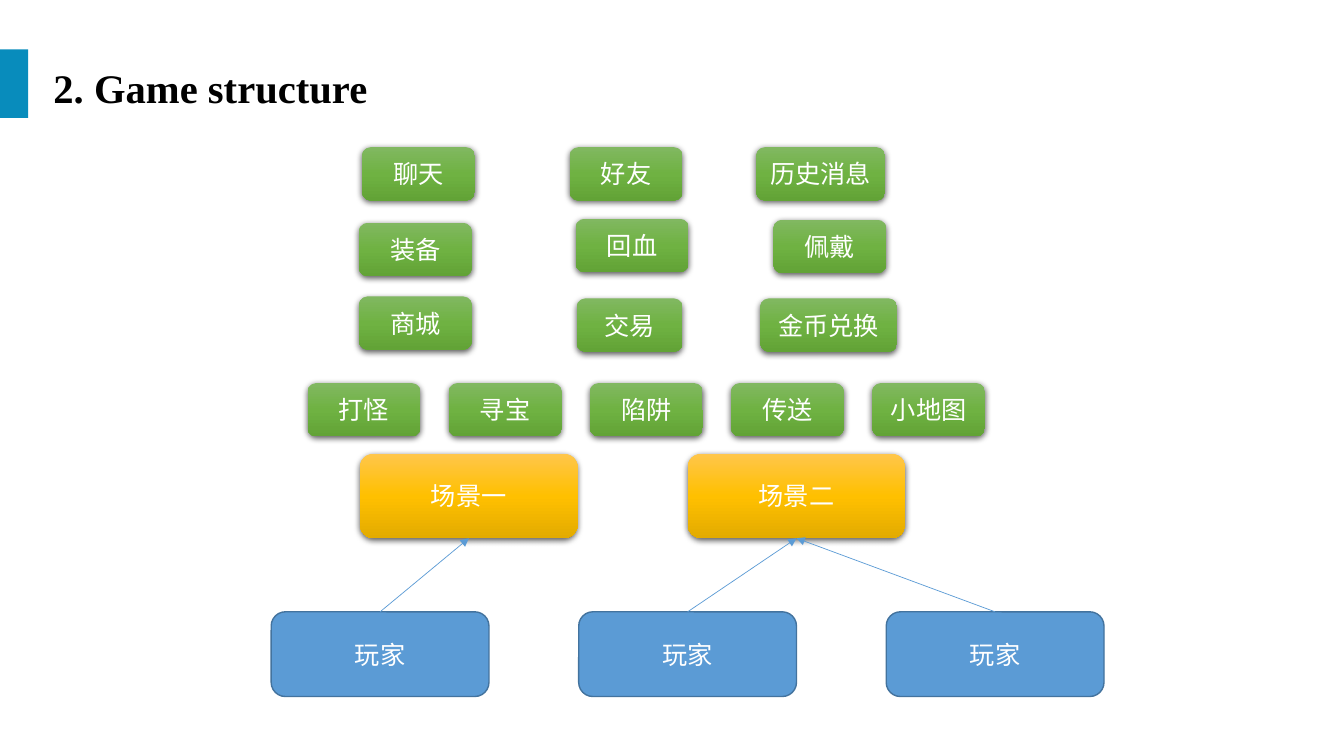
from lxml import etree
from pptx import Presentation
from pptx.dml.color import RGBColor
from pptx.enum.shapes import MSO_CONNECTOR, MSO_SHAPE
from pptx.enum.text import MSO_ANCHOR, MSO_AUTO_SIZE, PP_ALIGN
from pptx.oxml.ns import qn
from pptx.util import Inches, Pt

STRAIGHT = MSO_CONNECTOR.STRAIGHT
RECTANGLE, ROUNDED = MSO_SHAPE.RECTANGLE, MSO_SHAPE.ROUNDED_RECTANGLE
MIDDLE = MSO_ANCHOR.MIDDLE
NO_AUTOFIT = MSO_AUTO_SIZE.NONE
LEFT, CENTER = PP_ALIGN.LEFT, PP_ALIGN.CENTER

TITLE_ONLY_LAYOUT = 5
TOP_SITE, BOTTOM_SITE = 0, 2
LARGE_BOX = (2.16, 0.84)
FEATURE_HEIGHT = 0.53
ORANGE = ("FFC64B", "FFC000", "E3AB00")
GREEN = ("81B861", "6FB242", "62A336")

FEATURES = [
    ("聊天", 3.59, 1.46, 1.12),
    ("好友", 5.65, 1.46, 1.12),
    ("历史消息", 7.5, 1.46, 1.28),
    ("装备", 3.56, 2.21, 1.12),
    ("回血", 5.71, 2.17, 1.12),
    ("佩戴", 7.67, 2.18, 1.12),
    ("商城", 3.56, 2.94, 1.12),
    ("交易", 5.72, 2.96, 1.05),
    ("金币兑换", 7.54, 2.96, 1.36),
]
SCENE_FEATURES = ["打怪", "寻宝", "陷阱", "传送", "小地图"]


def color(value):
    return RGBColor.from_string(value)


def add_element(parent, tag, **attributes):
    return etree.SubElement(parent, qn(tag), attributes)


class StructureSlide:
    """Draws the parts of a game structure diagram in one style."""

    font_name = "Times New Roman"

    def __init__(self, presentation):
        layout = presentation.slide_layouts[TITLE_ONLY_LAYOUT]
        self.slide = presentation.slides.add_slide(layout)

    def label(self, shape, text, size, text_color, alignment, bold=False):
        frame = shape.text_frame
        frame.text = text
        frame.word_wrap = True
        frame.auto_size = NO_AUTOFIT
        frame.vertical_anchor = MIDDLE
        paragraph = frame.paragraphs[0]
        paragraph.alignment = alignment
        font = paragraph.runs[0].font
        font.name, font.size, font.bold = self.font_name, Pt(size), bold
        font.color.rgb = color(text_color)
        return paragraph

    def title(self, text, left, top, width, height):
        shape = self.slide.shapes.title
        shape.left, shape.top = Inches(left), Inches(top)
        shape.width, shape.height = Inches(width), Inches(height)
        self.label(shape, text, 29, "000000", LEFT, True).line_spacing = 0.9

    def shape(self, kind, left, top, width, height):
        shape = self.slide.shapes.add_shape(
            kind, Inches(left), Inches(top), Inches(width), Inches(height))
        shape.shadow.inherit = False
        shape.line.fill.background()
        return shape

    def accent(self, left, top, width, height, fill):
        shape = self.shape(RECTANGLE, left, top, width, height)
        shape.fill.solid()
        shape.fill.fore_color.rgb = color(fill)

    def player(self, text, left, top):
        shape = self.shape(ROUNDED, left, top, *LARGE_BOX)
        shape.fill.solid()
        shape.fill.fore_color.rgb = color("5B9BD5")
        shape.line.color.rgb = color("43739E")
        shape.line.width = Pt(1)
        self.label(shape, text, 18, "FFFFFF", CENTER)
        return shape

    def glossy_box(self, text, left, top, width, height, colors):
        shape = self.shape(ROUNDED, left, top, width, height)
        shape.fill.gradient()
        shape.fill.gradient_angle = 270
        properties = shape.element.spPr
        stops = properties.find(qn("a:gradFill")).find(qn("a:gsLst"))
        for stop in list(stops):
            stops.remove(stop)
        for index, value in enumerate(colors):
            stop = add_element(stops, "a:gs", pos=str(index * 50000))
            add_element(stop, "a:srgbClr", val=value)
        shadow = add_element(
            properties.find(qn("a:effectLst")), "a:outerShdw",
            blurRad=str(Pt(4.5)), dist=str(Pt(1.5)), dir="5400000",
            algn="ctr", rotWithShape="0")
        shade = add_element(shadow, "a:srgbClr", val="000000")
        add_element(shade, "a:alpha", val="63000")
        self.label(shape, text, 18, "FFFFFF", CENTER)
        return shape

    def arrow(self, player, scene):
        connector = self.slide.shapes.add_connector(STRAIGHT, 0, 0, 0, 0)
        connector.begin_connect(player, TOP_SITE)
        connector.end_connect(scene, BOTTOM_SITE)
        connector.line.color.rgb = color("5B9BD5")
        connector.line.width = Pt(0.5)
        properties = connector.element.spPr
        add_element(properties.find(qn("a:ln")), "a:tailEnd", type="triangle")
        add_element(properties, "a:effectLst")


def main():
    presentation = Presentation()
    presentation.slide_width = Inches(13.33)
    presentation.slide_height = Inches(7.5)
    diagram = StructureSlide(presentation)

    diagram.accent(0, 0.49, 0.28, 0.68, "088CBC")
    diagram.title("2. Game structure", 0.43, 0.56, 12.38, 0.68)

    players = [diagram.player("玩家", 2.69 + 3.05 * column, 6.07)
               for column in range(3)]
    scenes = [diagram.glossy_box(text, 3.57 + 3.25 * column, 4.5, *LARGE_BOX, ORANGE)
              for column, text in enumerate(["场景一", "场景二"])]
    for player, scene in zip(players, [scenes[0], scenes[1], scenes[1]]):
        diagram.arrow(player, scene)

    for text, left, top, width in FEATURES:
        diagram.glossy_box(text, left, top, width, FEATURE_HEIGHT, GREEN)
    for column, text in enumerate(SCENE_FEATURES):
        diagram.glossy_box(text, 3.05 + 1.4 * column, 3.8, 1.12, FEATURE_HEIGHT, GREEN)

    presentation.save("out.pptx")


if __name__ == "__main__":
    main()
